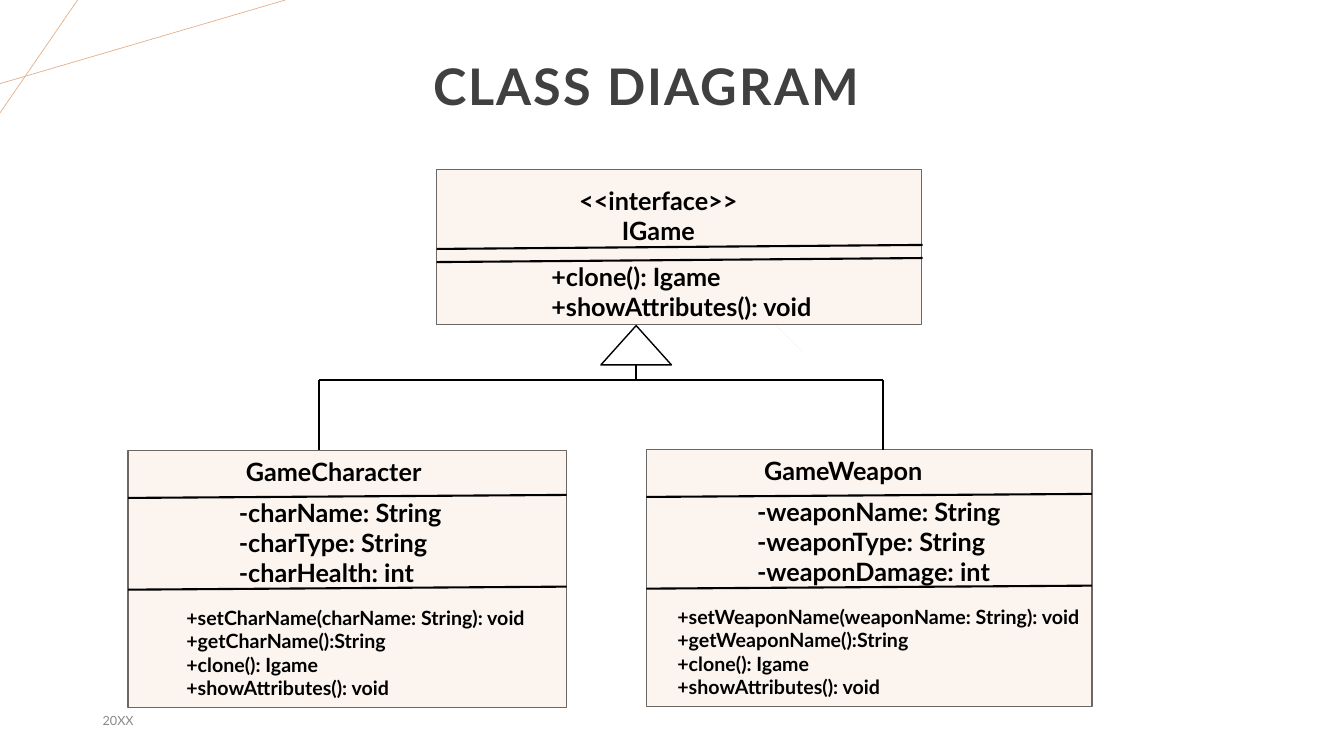
from lxml import etree
from pptx import Presentation
from pptx import util as u
from pptx.dml.color import RGBColor
from pptx.enum import shapes, text
from pptx.oxml.ns import qn

COLORS = {
    "accent": "E3B18D", "title": "404040", "footer": "898989",
    "panel": "FBF4EF", "border": "6A6765", "ink": "000000", "white": "FFFFFF",
}


class Diagram:
    """Holds the style and the current slide."""

    font = "Lato"

    def __init__(self, slide):
        self.slide = slide

    def color(self, name):
        return RGBColor.from_string(COLORS[name])

    def paint(self, shape, fill, line, width=1):
        shape.shadow.inherit = False
        shape.fill.solid()
        shape.fill.fore_color.rgb = self.color(fill)
        shape.line.color.rgb = self.color(line)
        shape.line.width = u.Pt(width)

    def line(self, x1, y1, x2, y2, color="ink", width=1.5):
        connector = self.slide.shapes.add_connector(
            shapes.MSO_CONNECTOR.STRAIGHT, *map(u.Inches, (x1, y1, x2, y2)))
        connector.line.color.rgb = self.color(color)
        connector.line.width = u.Pt(width)
        etree.SubElement(connector._element.spPr, qn("a:effectLst"))

    def panel(self, left, top, width, height):
        shape = self.slide.shapes.add_shape(
            shapes.MSO_SHAPE.RECTANGLE, *map(u.Inches, (left, top, width, height)))
        self.paint(shape, "panel", "border")

    def triangle(self, center, top, width, height):
        builder = self.slide.shapes.build_freeform(
            u.Inches(center - width / 2), u.Inches(top + height))
        builder.add_line_segments([
            (u.Inches(center), u.Inches(top)),
            (u.Inches(center + width / 2), u.Inches(top + height))], close=True)
        self.paint(builder.convert_to_shape(), "white", "ink")

    def label(self, left, top, width, height, lines, size=18, color="ink", bold=True,
              align=text.PP_ALIGN.LEFT, anchor=text.MSO_ANCHOR.TOP,
              fit=text.MSO_AUTO_SIZE.SHAPE_TO_FIT_TEXT, spacing=1.0, tracking=0):
        box = self.slide.shapes.add_textbox(*map(u.Inches, (left, top, width, height)))
        frame = box.text_frame
        frame_format = {"word_wrap": True, "vertical_anchor": anchor, "auto_size": fit}
        for name, value in frame_format.items():
            setattr(frame, name, value)
        font_format = {"name": self.font, "size": u.Pt(size), "bold": bold}
        for index, content in enumerate(lines):
            paragraph = frame.add_paragraph() if index else frame.paragraphs[0]
            paragraph.alignment = align
            paragraph.line_spacing = spacing
            run = paragraph.add_run()
            run.text = content
            for name, value in font_format.items():
                setattr(run.font, name, value)
            run.font.color.rgb = self.color(color)
            if tracking:
                run.font._element.set("spc", str(int(tracking * 100)))

    def class_box(self, left, top, width, name, fields, methods, methods_left):
        self.panel(left, top, width, 2.55)
        for offset in (0.47, 1.38):
            self.line(left, top + offset, left + width, top + offset - 0.03)
        self.label(left + 1.07, top + 0.01, 3.05, 0.4, [name])
        self.label(left + 1, top + 0.41, 3.25, 1.01, fields)
        self.label(methods_left, top + 1.49, 4.6, 1.03, methods, size=14)


def main():
    presentation = Presentation()
    presentation.slide_width = u.Inches(13.33)
    presentation.slide_height = u.Inches(7.5)
    diagram = Diagram(presentation.slides.add_slide(presentation.slide_layouts[6]))

    # Corner decoration, title and footer
    diagram.line(0, 0.83, 2.83, 0, "accent", 0.5)
    diagram.line(0.77, 0, 0, 1.12, "accent", 0.5)
    framed = {"anchor": text.MSO_ANCHOR.MIDDLE, "fit": text.MSO_AUTO_SIZE.NONE}
    diagram.label(0.66, 0.19, 11.5, 1.38, ["CLASS DIAGRAM"], size=36, color="title",
                  align=text.PP_ALIGN.CENTER, spacing=0.9, tracking=1.5, **framed)
    diagram.label(0.92, 6.95, 3, 0.4, ["20XX"], size=9, color="footer", bold=False, **framed)

    # Interface
    diagram.line(6.96, 2.49, 7.96, 3.49, "panel", 0.5)
    diagram.panel(4.33, 1.68, 4.81, 1.54)
    for y in (2.47, 2.6):
        diagram.line(4.33, y, 9.15, y - 0.04)
    diagram.label(5.03, 1.79, 3, 0.71, ["<<interface>>", "IGame"],
                  align=text.PP_ALIGN.CENTER)
    diagram.label(5.37, 2.54, 3, 0.71, ["+clone(): Igame", "+showAttributes(): void"])

    # Implementing classes
    shared_methods = ["+clone(): Igame", "+showAttributes(): void"]
    diagram.class_box(
        1.27, 4.47, 4.35, "GameCharacter",
        ["-charName: String", "-charType: String", "-charHealth: int"],
        ["+setCharName(charName: String): void", "+getCharName():String"] + shared_methods,
        methods_left=1.75)
    diagram.class_box(
        6.41, 4.46, 4.42, "GameWeapon",
        ["-weaponName: String", "-weaponType: String", "-weaponDamage: int"],
        ["+setWeaponName(weaponName: String): void", "+getWeaponName():String"] + shared_methods,
        methods_left=6.62)

    # Inheritance arrow
    stem, bar = 6.31, 3.77
    for child in (3.16, 8.76):
        diagram.line(child, 4.46, child, bar)
        diagram.line(stem, bar, child, bar)
    diagram.line(stem, bar, stem, 3.55)
    diagram.triangle(stem, 3.23, 0.7, 0.39)

    presentation.save("out.pptx")


if __name__ == "__main__":
    main()
